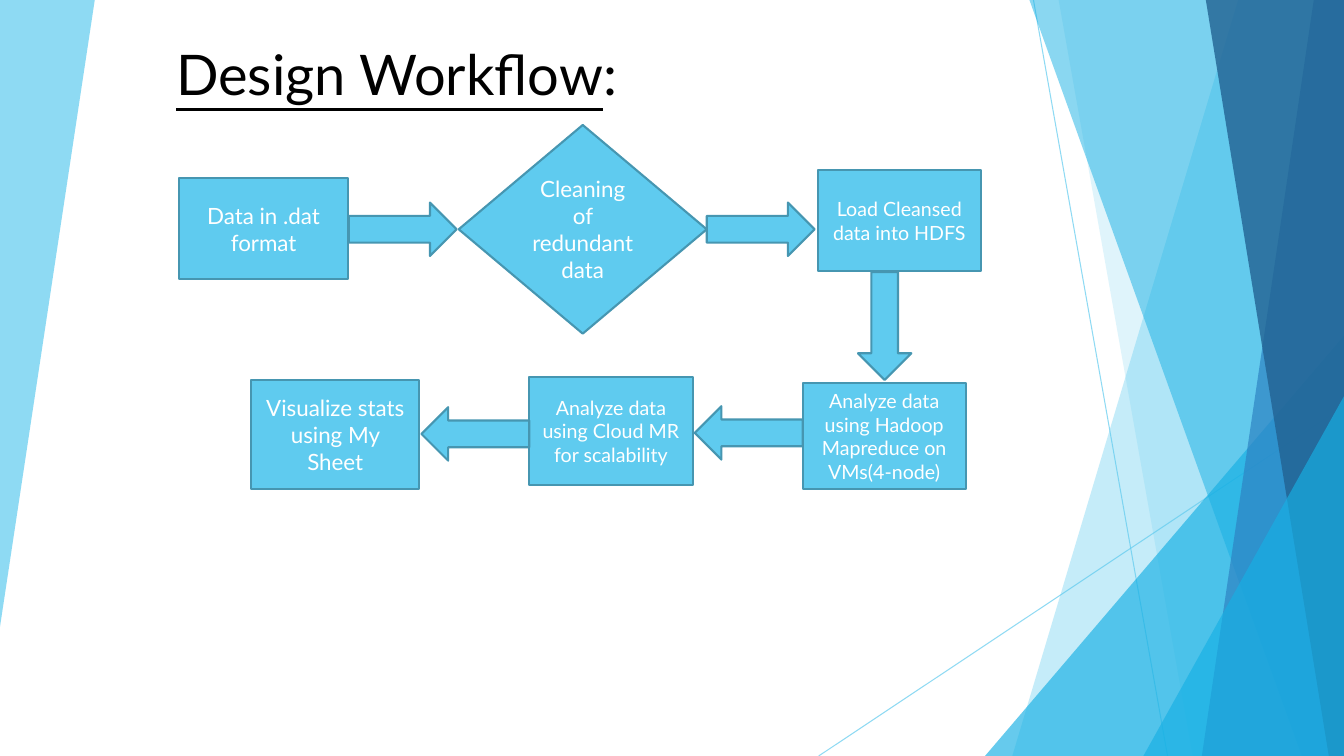
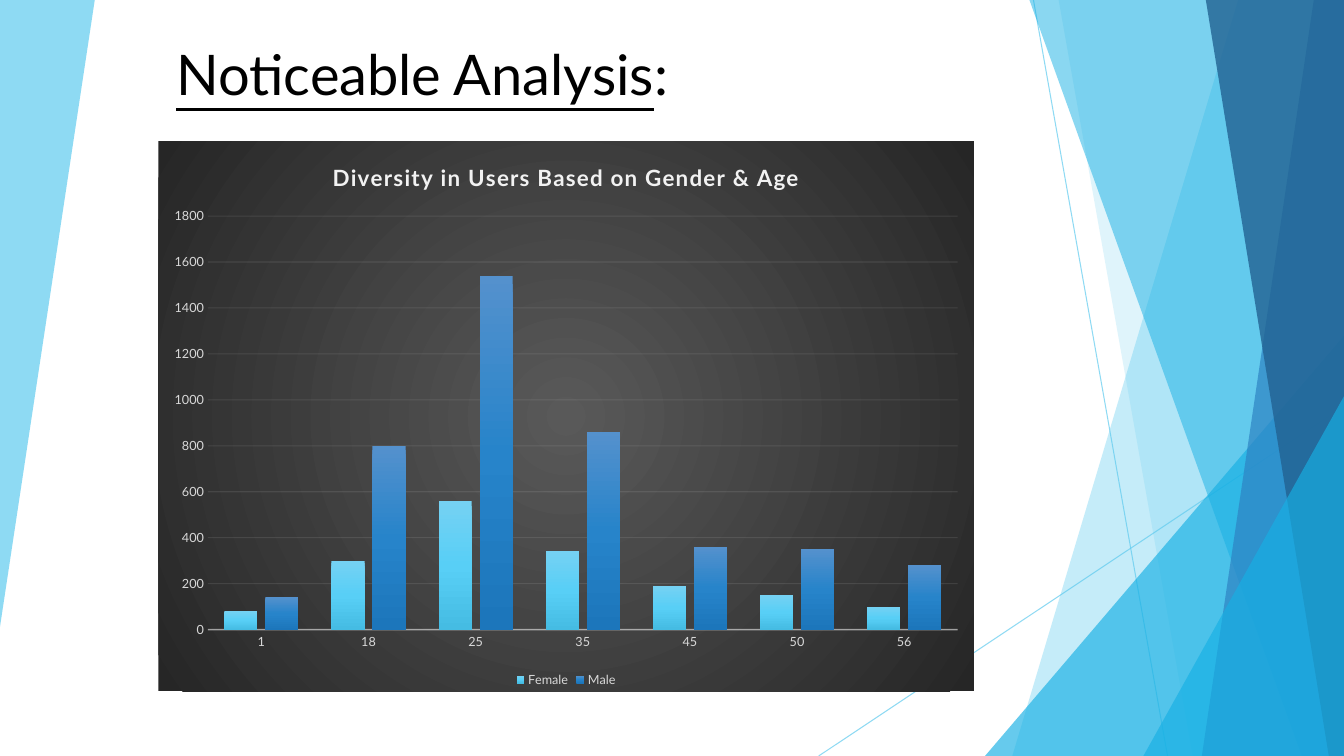
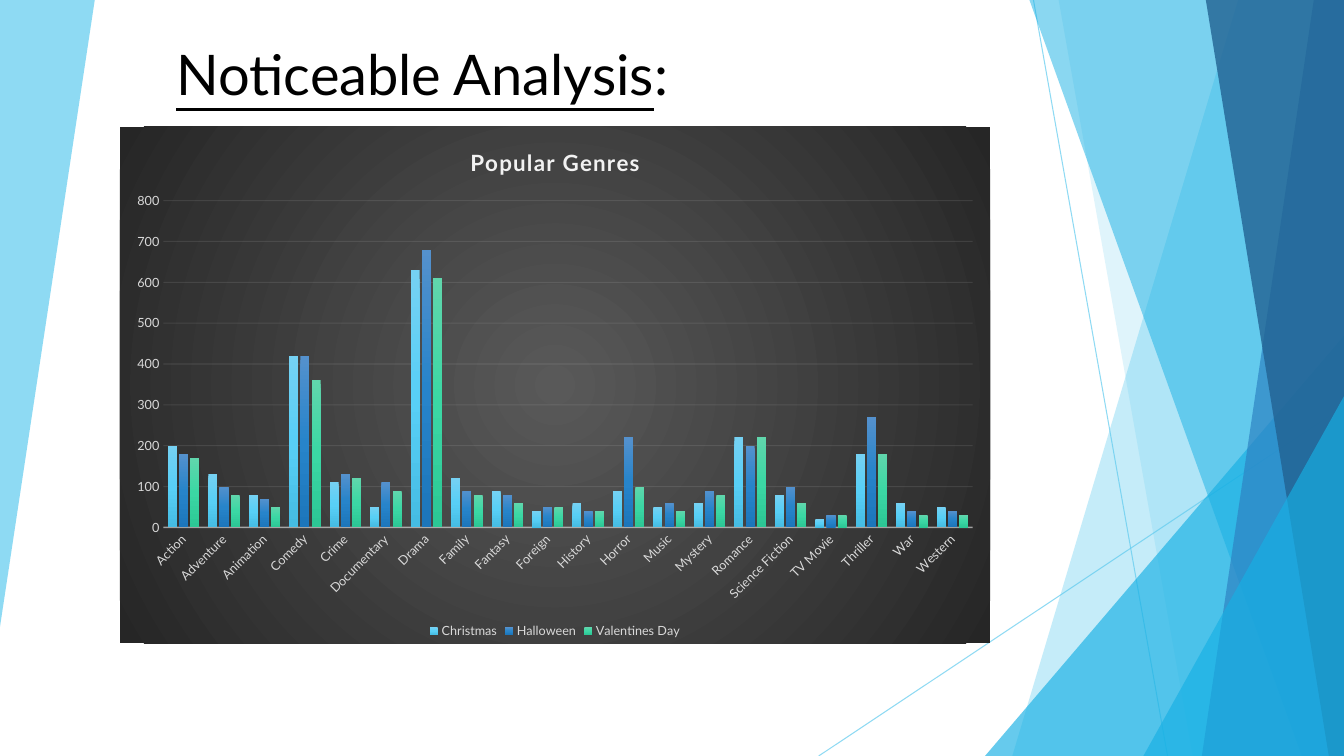
from lxml import etree
from pptx import Presentation
from pptx.chart.data import CategoryChartData
from pptx.dml.color import RGBColor
from pptx.enum.chart import XL_CHART_TYPE, XL_LEGEND_POSITION, XL_TICK_MARK
from pptx.enum.shapes import MSO_CONNECTOR, MSO_SHAPE
from pptx.enum.text import MSO_ANCHOR, PP_ALIGN
from pptx.oxml.ns import qn
from pptx.util import Inches, Pt

RECT = MSO_SHAPE.RECTANGLE
DIAMOND = MSO_SHAPE.DIAMOND
TRIANGLE = MSO_SHAPE.ISOSCELES_TRIANGLE
RIGHT = MSO_SHAPE.RIGHT_ARROW
LEFT = MSO_SHAPE.LEFT_ARROW
DOWN = MSO_SHAPE.DOWN_ARROW
STRAIGHT = MSO_CONNECTOR.STRAIGHT
CENTER = PP_ALIGN.CENTER
MIDDLE = MSO_ANCHOR.MIDDLE
COLUMN = XL_CHART_TYPE.COLUMN_CLUSTERED
BOTTOM = XL_LEGEND_POSITION.BOTTOM
NO_TICK = XL_TICK_MARK.NONE

FONT = "Lato"
W, H = 13.33, 7.5
HEX = {
    "sky": "5FCBEF", "cyan": "17B0E4", "blue": "2E83C3", "navy": "226292",
    "edge": "4696B1", "white": "FFFFFF", "black": "000000",
    "label": "D9D9D9", "pale": "F2F2F2",
}
RGB = {name: RGBColor.from_string(value) for name, value in HEX.items()}
CHART_GRADIENT = ["595959", "262626"]
SERIES_GRADIENTS = [
    ["75D1F3", "58CFF6", "45BCE3"],
    ["5491CD", "2784CA", "1C76BB"],
    ["60D6AC", "3BD7A4", "2CC795"],
]


def set_alpha(element, percent):
    color = next(element.iter(qn("a:srgbClr")))
    etree.SubElement(color, qn("a:alpha"), val=str(percent * 1000))


def add_gradient(parent, colors):
    grad = etree.SubElement(parent, qn("a:gradFill"), rotWithShape="1")
    stops = etree.SubElement(grad, qn("a:gsLst"))
    for i, color in enumerate(colors):
        pos = 100000 * i // (len(colors) - 1)
        stop = etree.SubElement(stops, qn("a:gs"), pos=str(pos))
        etree.SubElement(stop, qn("a:srgbClr"), val=color)
    return grad


prs = Presentation()
prs.slide_width, prs.slide_height = Inches(W), Inches(H)

LINES = [(10.25, 0, 11.58, H), (W, 4.03, 8.12, H)]
LEFT_PANEL = [(0, 0), (0.94, 0), (0, 6.22)]
PANELS = [
    (LEFT_PANEL, "sky", 70),
    ([(12.28, 0), (W, 0), (W, H), (10.04, H)], "sky", 36),
    ([(10.5, 0), (W, 0), (W, H), (11.83, H)], "sky", 20),
    ((9.77, 3.33), "cyan", 66),
    ([(10.21, 0), (W, 0), (W, H), (12.91, H)], "cyan", 50),
    ([(13.03, 0), (W, 0), (W, H), (11.92, H)], "blue", 70),
    ([(11.96, 0), (W, 0), (W, H), (13.18, H)], "navy", 80),
    ((11.34, 3.93), "cyan", 66),
]

slides = []
for title in ["Design Workflow", "Noticeable Analysis", "Noticeable Analysis"]:
    s = prs.slides.add_slide(prs.slide_layouts[6])
    slides.append(s)
    for ends in LINES:
        line = s.shapes.add_connector(STRAIGHT, *map(Inches, ends))
        line.line.color.rgb = RGB["sky"]
        line.line.width = Pt(0.75)
        set_alpha(line.element.spPr, 70)
        etree.SubElement(line.element.spPr, qn("a:effectLst"))
    for outline, color, opacity in PANELS:
        if isinstance(outline, tuple):
            x, y = outline
            sp = s.shapes.add_shape(TRIANGLE, Inches(x), Inches(y), Inches(W - x), Inches(H - y))
            sp.adjustments[0] = 1
        else:
            points = [(Inches(x), Inches(y)) for x, y in outline]
            builder = s.shapes.build_freeform(*points[0])
            builder.add_line_segments(points[1:], close=True)
            sp = builder.convert_to_shape()
        sp.shadow.inherit = False
        sp.fill.solid()
        sp.fill.fore_color.rgb = RGB[color]
        set_alpha(sp.element.spPr, opacity)
        sp.line.fill.background()

    tf = s.shapes.add_textbox(Inches(1.65), Inches(0.34), Inches(8.49), Inches(0.77)).text_frame
    tf.word_wrap = True
    for text, underline in [(title, True), (":", False)]:
        r = tf.paragraphs[0].add_run()
        r.text = text
        r.font.name, r.font.size = FONT, Pt(40)
        r.font.underline = underline
        r.font.color.rgb = RGB["black"]

FLOW = [
    (RECT, 1.78, 1.77, 1.67, 1, 16, ["Data in .dat", "format"]),
    (RIGHT, 3.46, 2.01, 1.07, 0.53, 16, []),
    (DIAMOND, 4.55, 1.24, 2.46, 2.07, 16, ["Cleaning of redundant data"]),
    (RIGHT, 7.01, 2.01, 1.07, 0.53, 16, []),
    (RECT, 8.11, 1.69, 1.62, 1, 14, ["Load Cleansed data into HDFS"]),
    (DOWN, 8.51, 2.7, 0.53, 1.07, 14, []),
    (RECT, 7.96, 3.8, 1.62, 1.05, 14, ["Analyze data using Hadoop Mapreduce on VMs(4-node)"]),
    (LEFT, 6.89, 4.03, 1.07, 0.53, 14, []),
    (RECT, 5.25, 3.74, 1.62, 1.07, 14, ["Analyze data using Cloud MR for scalability"]),
    (LEFT, 4.18, 4.04, 1.07, 0.53, 16, []),
    (RECT, 2.49, 3.77, 1.67, 1.08, 16, ["Visualize stats using My Sheet"]),
]
for kind, x, y, w, h, size, lines in FLOW:
    sp = slides[0].shapes.add_shape(kind, Inches(x), Inches(y), Inches(w), Inches(h))
    sp.shadow.inherit = False
    sp.fill.solid()
    sp.fill.fore_color.rgb = RGB["sky"]
    sp.line.color.rgb = RGB["edge"]
    sp.line.width = Pt(1.5)
    tf = sp.text_frame
    tf.word_wrap = True
    tf.vertical_anchor = MIDDLE
    for i, text in enumerate(lines):
        p = tf.add_paragraph() if i else tf.paragraphs[0]
        p.alignment = CENTER
        r = p.add_run()
        r.text = text
        r.font.name, r.font.size = FONT, Pt(size)
        r.font.color.rgb = RGB["white"]

AGES = ["1", "18", "25", "35", "45", "50", "56"]
USERS = {
    "Female": [80, 300, 560, 340, 190, 150, 100],
    "Male": [140, 800, 1540, 860, 360, 350, 280],
}
GENRES = [
    "Action", "Adventure", "Animation", "Comedy", "Crime", "Documentary", "Drama",
    "Family", "Fantasy", "Foreign", "History", "Horror", "Music", "Mystery",
    "Romance", "Science Fiction", "TV Movie", "Thriller", "War", "Western",
]
HOLIDAYS = {
    "Christmas": [200, 130, 80, 420, 110, 50, 630, 120, 90, 40,
                  60, 90, 50, 60, 220, 80, 20, 180, 60, 50],
    "Halloween": [180, 100, 70, 420, 130, 110, 680, 90, 80, 50,
                  40, 220, 60, 90, 200, 100, 30, 270, 40, 40],
    "Valentines Day": [170, 80, 50, 360, 120, 90, 610, 80, 60, 50,
                       40, 100, 40, 80, 220, 60, 30, 180, 30, 30],
}
CHARTS = [
    (slides[1], (1.57, 1.4, 8.09, 5.46), "Diversity in Users Based on Gender & Age",
     AGES, USERS, 1800, 200, 0),
    (slides[2], (1.19, 1.26, 8.63, 5.12), "Popular Genres",
     GENRES, HOLIDAYS, 800, 100, -45),
]
for s, box, title, categories, series, top, step, angle in CHARTS:
    data = CategoryChartData()
    data.categories = categories
    for name, values in series.items():
        data.add_series(name, values)
    chart = s.shapes.add_chart(COLUMN, *map(Inches, box), data).chart
    chart.font.name, chart.font.size = FONT, Pt(10)
    chart.font.color.rgb = RGB["black"]

    chart_space = chart.element
    sp_pr = etree.Element(qn("c:spPr"))
    chart_space.find(qn("c:txPr")).addprevious(sp_pr)
    circle = etree.SubElement(add_gradient(sp_pr, CHART_GRADIENT), qn("a:path"), path="circle")
    etree.SubElement(circle, qn("a:fillToRect"), l="50000", t="50000", r="50000", b="50000")
    etree.SubElement(etree.SubElement(sp_pr, qn("a:ln")), qn("a:noFill"))

    chart.has_title = True
    chart.chart_title.include_in_layout = False
    r = chart.chart_title.text_frame.paragraphs[0].add_run()
    r.text = title
    r.font.name, r.font.size, r.font.bold = FONT, Pt(16), True
    r.font.color.rgb = RGB["pale"]
    r._r.get_or_add_rPr().set("spc", "100")

    chart.has_legend = True
    chart.legend.position = BOTTOM
    chart.legend.include_in_layout = False
    cat_axis, val_axis = chart.category_axis, chart.value_axis
    for part in (chart.legend, cat_axis.tick_labels, val_axis.tick_labels):
        part.font.name, part.font.size = FONT, Pt(9)
        part.font.color.rgb = RGB["label"]

    val_axis.minimum_scale, val_axis.maximum_scale = 0, top
    val_axis.major_unit = step
    val_axis.has_major_gridlines = True
    val_axis.format.line.fill.background()
    grid = val_axis.major_gridlines.format.line
    for axis, line, width, opacity in [(cat_axis, cat_axis.format.line, 1, 54),
                                       (val_axis, grid, 0.75, 10)]:
        axis.major_tick_mark = axis.minor_tick_mark = NO_TICK
        line.color.rgb = RGB["pale"]
        line.width = Pt(width)
        set_alpha(axis._element, opacity)
    cat_axis._element.find(qn("c:txPr")).find(qn("a:bodyPr")).set("rot", str(angle * 60000))

    plot = chart.plots[0]
    plot.gap_width, plot.overlap = 100, -24
    plot.vary_by_categories = False
    for ser, colors in zip(plot.series, SERIES_GRADIENTS):
        grad = add_gradient(ser._element.get_or_add_spPr(), colors)
        etree.SubElement(grad, qn("a:lin"), ang="5400000", scaled="0")

prs.save("out.pptx")
